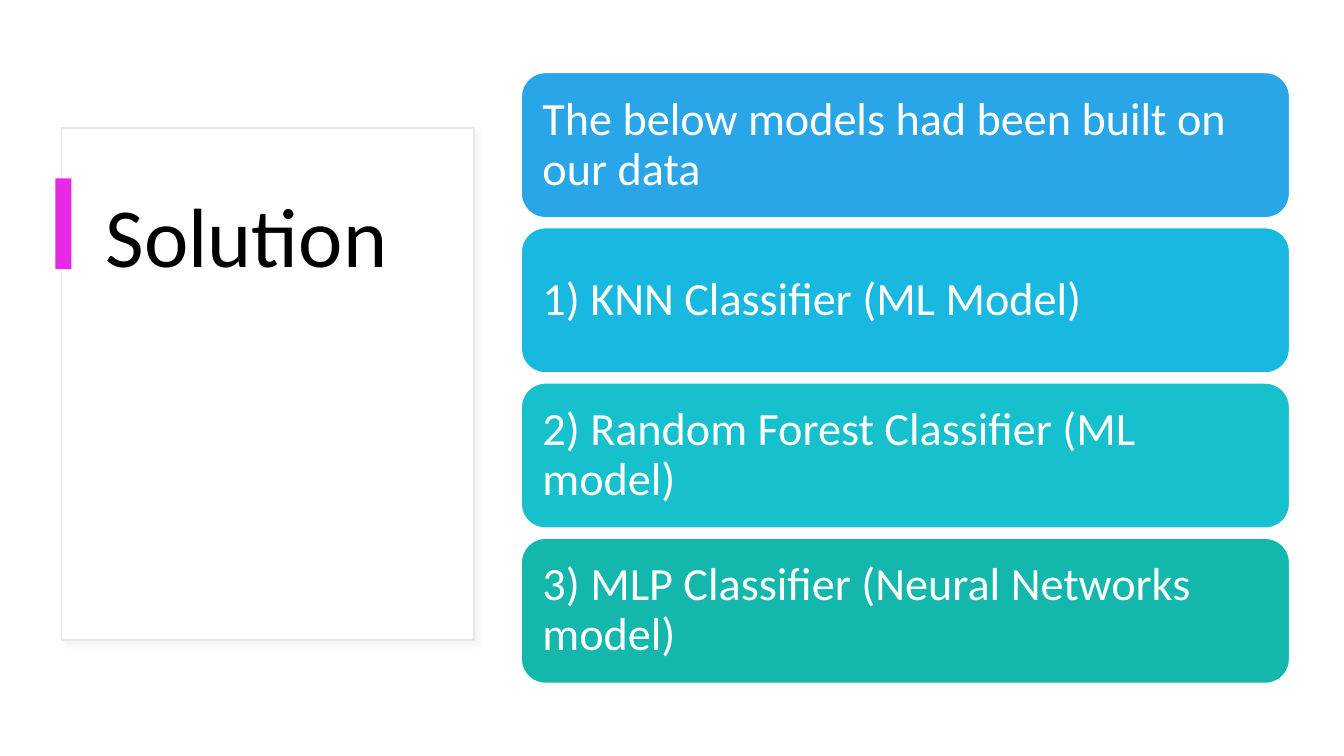
from lxml import etree
from pptx import Presentation
from pptx.dml.color import RGBColor
from pptx.enum import shapes, text
from pptx.oxml.ns import qn
from pptx.util import Inches, Pt

FONT = "Calibri"
WHITE = "FFFFFF"
MODELS = [
    ("The below models had been built on our data", "29A6E7"),
    ("1) KNN Classifier (ML Model)", "19B8E0"),
    ("2) Random Forest Classifier (ML model)", "16C0CC"),
    ("3) MLP Classifier (Neural Networks model)", "14B7AB"),
]


def rgb(value):
    return RGBColor.from_string(value)


def add_box(s, kind, box, fill, line=None):
    sp = s.shapes.add_shape(kind, *map(Inches, box))
    sp.shadow.inherit = False
    sp.fill.solid()
    sp.fill.fore_color.rgb = rgb(fill)
    if line:
        sp.line.color.rgb = rgb(line)
        sp.line.width = Pt(1)
    else:
        sp.line.fill.background()
    return sp


def add_soft_shadow(sp):
    effects = sp._element.spPr.find(qn("a:effectLst"))
    shadow = etree.SubElement(effects, qn("a:outerShdw"), blurRad=str(Pt(4)),
                              dist=str(Pt(3)), dir=str(45 * 60000))
    color = etree.SubElement(shadow, qn("a:srgbClr"), val="D9D9D9")
    etree.SubElement(color, qn("a:alpha"), val="30000")


def write(sp, words, size, color, anchor):
    tf = sp.text_frame
    tf.word_wrap = True
    tf.vertical_anchor = anchor
    tf.text = words
    p = tf.paragraphs[0]
    p.alignment = text.PP_ALIGN.LEFT
    p.line_spacing = 0.9
    font = p.runs[0].font
    font.name, font.size, font.color.rgb = FONT, Pt(size), rgb(color)
    return tf


def title_card(s, left, top, width, height):
    """Outlined card with a title and an accent bar over its left edge."""
    rect = shapes.MSO_SHAPE.RECTANGLE
    card = add_box(s, rect, (left, top, width, height), WHITE, "E5E8F0")
    add_soft_shadow(card)
    title = s.shapes.add_textbox(*map(Inches, (
        left + 0.34, top + 0.61, width - 0.7, height - 1.23)))
    write(title, "Solution", 60, "000000", text.MSO_ANCHOR.TOP)
    add_box(s, rect, (left - 0.06, top + 0.5, 0.16, 0.9), "E729E5")


def model_list(s, left, top, width, height, gap=0.1):
    """Equal rounded bars stacked to fill the given box."""
    step = (height + gap) / len(MODELS)
    for row, (words, color) in enumerate(MODELS):
        bar = add_box(s, shapes.MSO_SHAPE.ROUNDED_RECTANGLE,
                      (left, top + row * step, width, step - gap), color, WHITE)
        tf = write(bar, words, 33, WHITE, text.MSO_ANCHOR.MIDDLE)
        tf.margin_left = tf.margin_right = Inches(0.14)
        tf.margin_top = tf.margin_bottom = Inches(0.14)


def main():
    prs = Presentation()
    prs.slide_width, prs.slide_height = Inches(13.33), Inches(7.5)
    s = prs.slides.add_slide(prs.slide_layouts[6])
    title_card(s, 0.61, 1.27, 4.09, 5.08)
    model_list(s, 5.17, 0.72, 7.62, 6.06)
    prs.save("out.pptx")


if __name__ == "__main__":
    main()
